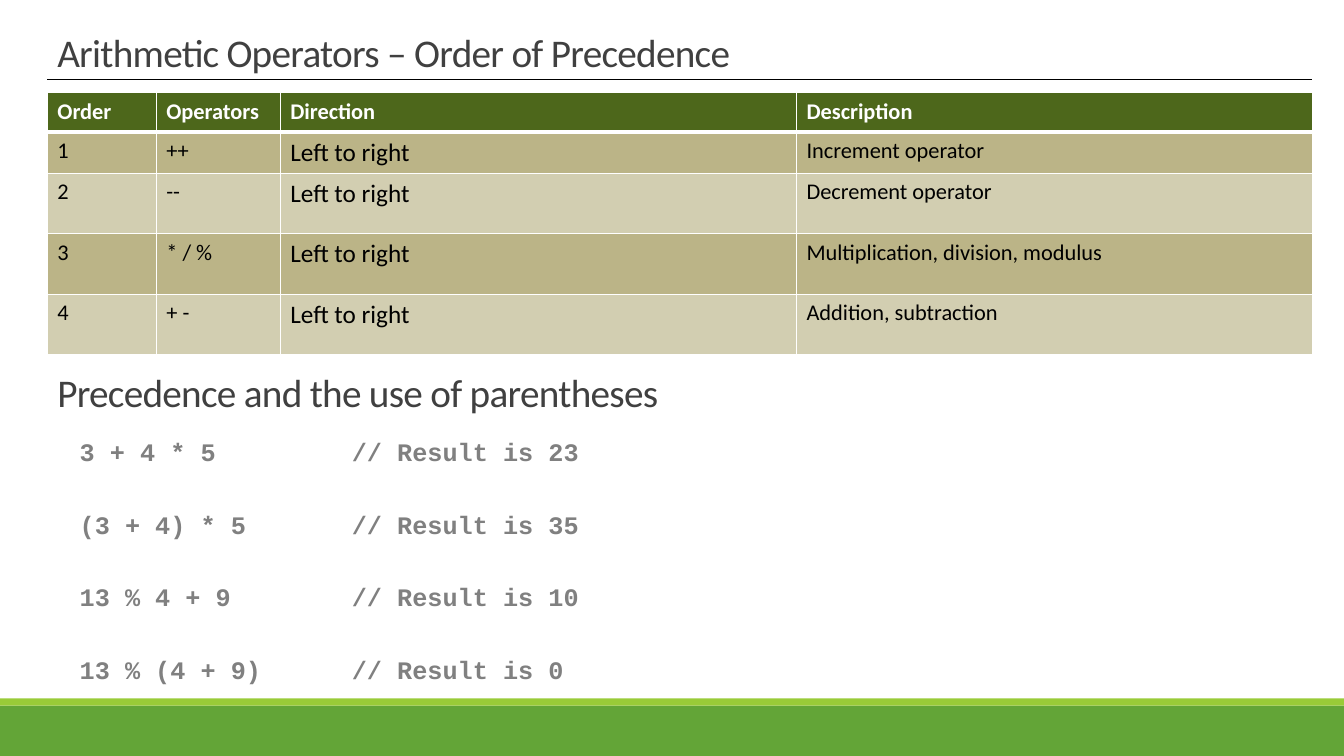
"""Build a slide on arithmetic operator precedence."""
import pptx
import pptx.util
import pptx.dml.color
import pptx.enum.shapes
import pptx.enum.text
import pptx.oxml
import pptx.oxml.ns
from pptx.util import Inches, Pt

TITLE = "Arithmetic Operators – Order of Precedence"
SUBTITLE = "Precedence and the use of parentheses"
HEADINGS = ("Order", "Operators", "Direction", "Description")
OPERATORS = [
    ("1", "++", "Left to right", "Increment operator"),
    ("2", "--", "Left to right", "Decrement operator"),
    ("3", "* / %", "Left to right", "Multiplication, division, modulus"),
    ("4", "+ -", "Left to right", "Addition, subtraction"),
]
EXAMPLES = [
    ("3 + 4 * 5", "// Result is 23"),
    ("(3 + 4) * 5", "// Result is 35"),
    ("13 % 4 + 9", "// Result is 10"),
    ("13 % (4 + 9)", "// Result is 0"),
]
THEME = {
    "body": "Calibri", "code": "Courier New",
    "title_size": 28, "cell_size": 16, "direction_size": 18, "code_size": 18,
    "title": "404040", "example": "808080", "ink": "000000", "white": "FFFFFF",
    "header": "4D671B", "bands": ("BBB487", "D2CEB1"),
    "footer": "63A537", "stripe": "99CB38",
}
LEFT = 0.47
TEXT_WIDTH = 11
COLUMNS = (1.08, 1.23, 5.12, 5.12)
ROWS = (0.39, 0.41, 0.6, 0.6, 0.6)
COMMENT_TAB = 2.7


def color(name):
    return pptx.dml.color.RGBColor.from_string(name)


def add_run(paragraph, text, size, ink, font=THEME["body"], bold=False):
    run = paragraph.add_run()
    run.text = text
    run.font.size = Pt(size)
    run.font.name = font
    run.font.bold = bold
    run.font.color.rgb = color(ink)
    return run


def add_frame(top, height):
    frame = slide.shapes.add_textbox(
        Inches(LEFT), Inches(top), Inches(TEXT_WIDTH), Inches(height)).text_frame
    frame.word_wrap = True
    return frame


def add_heading(text, top, height):
    frame = add_frame(top, height)
    frame.vertical_anchor = pptx.enum.text.MSO_ANCHOR.BOTTOM
    paragraph = frame.paragraphs[0]
    paragraph.line_spacing = 0.85
    run = add_run(paragraph, text, THEME["title_size"], THEME["title"])
    run.font._element.set("spc", "-50")


def add_bar(top, height, fill):
    bar = slide.shapes.add_shape(
        pptx.enum.shapes.MSO_SHAPE.RECTANGLE, 0, Inches(top), deck.slide_width, Inches(height))
    bar.shadow.inherit = False
    bar.fill.solid()
    bar.fill.fore_color.rgb = color(fill)
    bar.line.fill.background()


def add_borders(cell, top, bottom):
    properties = cell._tc.get_or_add_tcPr()
    for side, width in (("L", 1), ("R", 1), ("T", top), ("B", bottom)):
        properties.append(pptx.oxml.parse_xml(
            f'<a:ln{side} {pptx.oxml.ns.nsdecls("a")} w="{Pt(width)}"><a:solidFill>'
            f'<a:srgbClr val="{THEME["white"]}"/></a:solidFill></a:ln{side}>'))


deck = pptx.Presentation()
deck.slide_width, deck.slide_height = Inches(13.33), Inches(7.5)
slide = deck.slides.add_slide(deck.slide_layouts[6])

add_bar(7, 0.5, THEME["footer"])
add_bar(6.93, 0.07, THEME["stripe"])
add_heading(TITLE, -0.79, 1.59)

rule = slide.shapes.add_connector(
    pptx.enum.shapes.MSO_CONNECTOR.STRAIGHT,
    Inches(LEFT), Inches(0.79), Inches(13.01), Inches(0.79))
rule.line.color.rgb = color(THEME["ink"])
rule.line.width = Pt(1)
rule._element.spPr.append(
    pptx.oxml.parse_xml(f'<a:effectLst {pptx.oxml.ns.nsdecls("a")}/>'))

precedence = slide.shapes.add_table(
    len(ROWS), len(COLUMNS), Inches(LEFT), Inches(0.92),
    Inches(sum(COLUMNS)), Inches(sum(ROWS))).table
for column, width in zip(precedence.columns, COLUMNS):
    column.width = Inches(width)
for r, (height, entries) in enumerate(zip(ROWS, [HEADINGS, *OPERATORS])):
    precedence.rows[r].height = Inches(height)
    is_header = r == 0
    fill = THEME["header"] if is_header else THEME["bands"][(r - 1) % 2]
    for c, entry in enumerate(entries):
        cell = precedence.cell(r, c)
        add_borders(cell, 3 if r == 1 else 1, 3 if is_header else 1)
        cell.fill.solid()
        cell.fill.fore_color.rgb = color(fill)
        is_direction = HEADINGS[c] == "Direction" and not is_header
        add_run(cell.text_frame.paragraphs[0], entry,
                THEME["direction_size" if is_direction else "cell_size"],
                THEME["white" if is_header else "ink"], bold=is_header)

add_heading(SUBTITLE, 3.65, 0.52)

examples = add_frame(4.31, 2.18)
examples.margin_left = Inches(0.32)
for i, (expression, comment) in enumerate(EXAMPLES):
    paragraph = examples.add_paragraph() if i else examples.paragraphs[0]
    paragraph.line_spacing = 0.9
    paragraph.space_before = Pt(2)
    paragraph.space_after = Pt(30.6)
    paragraph._p.get_or_add_pPr().append(pptx.oxml.parse_xml(
        f'<a:tabLst {pptx.oxml.ns.nsdecls("a")}>'
        f'<a:tab pos="{Inches(COMMENT_TAB)}" algn="l"/></a:tabLst>'))
    add_run(paragraph, f"{expression}\t{comment}", THEME["code_size"],
            THEME["example"], THEME["code"], bold=True)

deck.save("out.pptx")
